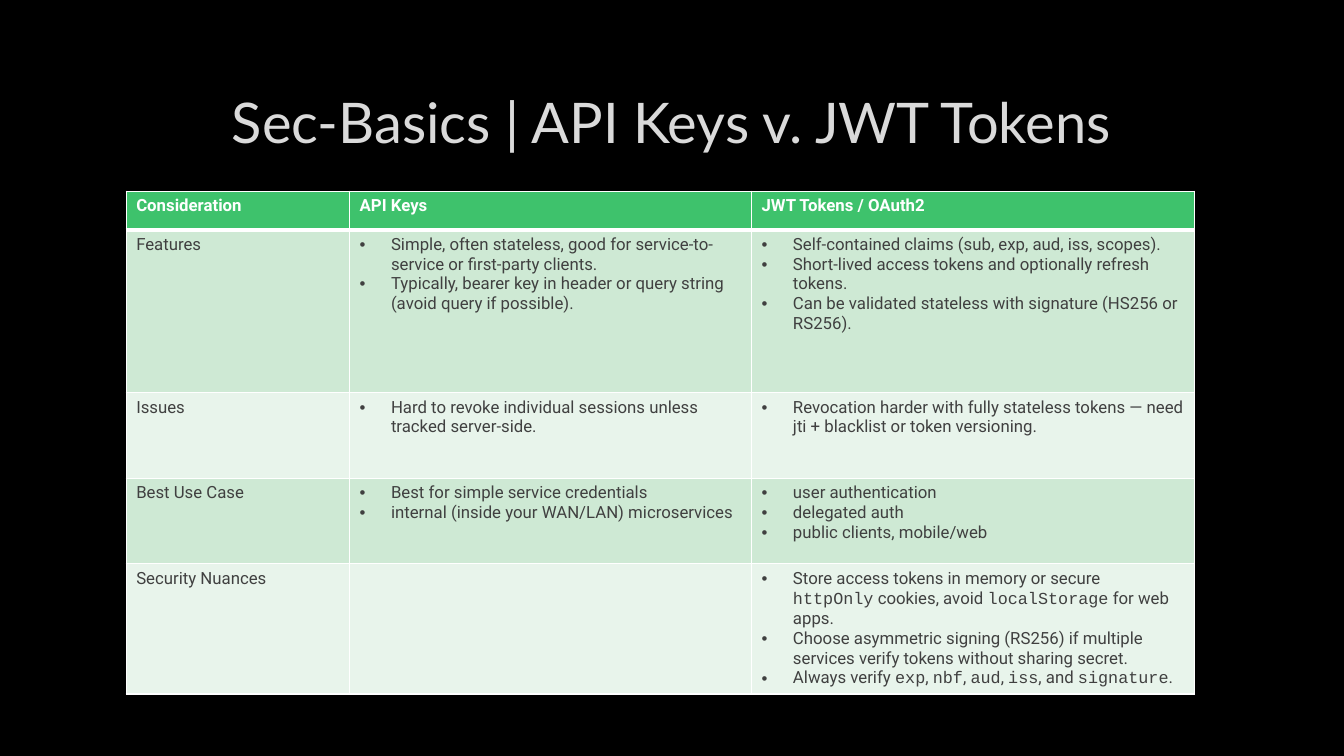
import pptx
import pptx.dml.color
import pptx.enum.text
import pptx.oxml
import pptx.oxml.ns
import pptx.util
from pptx.util import Cm, Pt

# Content: backticks mark code words
TITLE = "Sec-Basics | API Keys v. JWT Tokens"
HEADINGS = ["Consideration", "API Keys", "JWT Tokens / OAuth2"]
ROWS = [
    ("Features",
     ["Simple, often stateless, good for service-to-service or first-party clients.",
      "Typically, bearer key in header or query string (avoid query if possible)."],
     ["Self-contained claims (sub, exp, aud, iss, scopes).",
      "Short-lived access tokens and optionally refresh tokens.",
      "Can be validated stateless with signature (HS256 or RS256)."]),
    ("Issues",
     ["Hard to revoke individual sessions unless tracked server-side."],
     ["Revocation harder with fully stateless tokens — need jti + blacklist or token versioning."]),
    ("Best Use Case",
     ["Best for simple service credentials",
      "internal (inside your WAN/LAN) microservices"],
     ["user authentication", "delegated auth", "public clients, mobile/web"]),
    ("Security Nuances",
     [],
     ["Store access tokens in memory or secure `httpOnly` cookies, avoid `localStorage` for web apps.",
      "Choose asymmetric signing (RS256) if multiple services verify tokens without sharing secret.",
      "Always verify `exp`, `nbf`, `aud`, `iss`, and `signature`."]),
]
COLUMN_WIDTHS = [5.63, 10.13, 11.17]
ROW_HEIGHTS = [0.97, 4.1, 2.16, 2.16, 3.28]
BANDS = ["CEE9D4", "E8F4EB"]
INDENT = Cm(0.79)


def colour(value):
    return pptx.dml.color.RGBColor.from_string(value)


def xml(text):
    return pptx.oxml.parse_xml(text.replace(">", f" {pptx.oxml.ns.nsdecls('a')}>", 1))


def set_font(para, name, size, shade, bold=False):
    para.font.name = name
    para.font.size = Pt(size)
    para.font.bold = bold
    para.font.color.rgb = colour(shade)


def add_bullet(para):
    properties = para._p.get_or_add_pPr()
    properties.set("marL", str(INDENT))
    properties.set("indent", str(-INDENT))
    properties.insert(0, xml('<a:buFont typeface="Arial"></a:buFont>'))
    properties.insert(1, xml('<a:buChar char="•"></a:buChar>'))


def paint_cell(cell, fill, bottom):
    cell.fill.solid()
    cell.fill.fore_color.rgb = colour(fill)
    properties = cell._tc.get_or_add_tcPr()
    for place, (side, width) in enumerate([("L", 1), ("R", 1), ("T", 1), ("B", bottom)]):
        properties.insert(place, xml(
            f'<a:ln{side} w="{Pt(width)}"><a:solidFill><a:srgbClr val="FFFFFF"/>'
            f'</a:solidFill></a:ln{side}>'))


def write_cell(cell, lines, shade, bold=False, bullets=False):
    for number, line in enumerate(lines):
        frame = cell.text_frame
        para = frame.add_paragraph() if number else frame.paragraphs[0]
        set_font(para, "Roboto", 12, shade, bold)
        if bullets:
            add_bullet(para)
        for part, words in enumerate(line.split("`")):
            span = para.add_run()
            span.text = words
            if part % 2:
                span.font.name = "Courier New"


# Page
deck = pptx.Presentation()
deck.slide_width, deck.slide_height = Cm(33.87), Cm(19.05)
page = deck.slides.add_slide(deck.slide_layouts[5])
page.background.fill.solid()
page.background.fill.fore_color.rgb = colour("000000")

# Title
title = page.shapes.title
title.left, title.top, title.width, title.height = Cm(2.54), Cm(1.7), Cm(28.75), Cm(2.69)
title.text_frame.text = TITLE
title.text_frame.vertical_anchor = pptx.enum.text.MSO_ANCHOR.MIDDLE
heading = title.text_frame.paragraphs[0]
heading.alignment = pptx.enum.text.PP_ALIGN.CENTER
set_font(heading, "Lato", 40, "DADADA")
heading.runs[0].font._element.insert(0, xml(
    f'<a:ln w="{Pt(0.75)}"><a:solidFill><a:srgbClr val="404040"><a:alpha val="10000"/>'
    '</a:srgbClr></a:solidFill></a:ln>'))

# Table
table = page.shapes.add_table(
    len(ROW_HEIGHTS), len(COLUMN_WIDTHS), Cm(3.18), Cm(4.82),
    Cm(sum(COLUMN_WIDTHS)), Cm(sum(ROW_HEIGHTS))).table
for column, width in zip(table.columns, COLUMN_WIDTHS):
    column.width = Cm(width)
for row, height in zip(table.rows, ROW_HEIGHTS):
    row.height = Cm(height)

for index, text in enumerate(HEADINGS):
    cell = table.cell(0, index)
    paint_cell(cell, "3EC26C", 3)
    write_cell(cell, [text], "FFFFFF", bold=True)

for number, (label, *lists) in enumerate(ROWS, start=1):
    for index, lines in enumerate([[label], *lists]):
        cell = table.cell(number, index)
        paint_cell(cell, BANDS[(number - 1) % 2], 1)
        if number == 1:
            cell._tc.tcPr.find(pptx.oxml.ns.qn("a:lnT")).set("w", str(Pt(3)))
        write_cell(cell, lines, "404040", bullets=index > 0)

deck.save("out.pptx")
